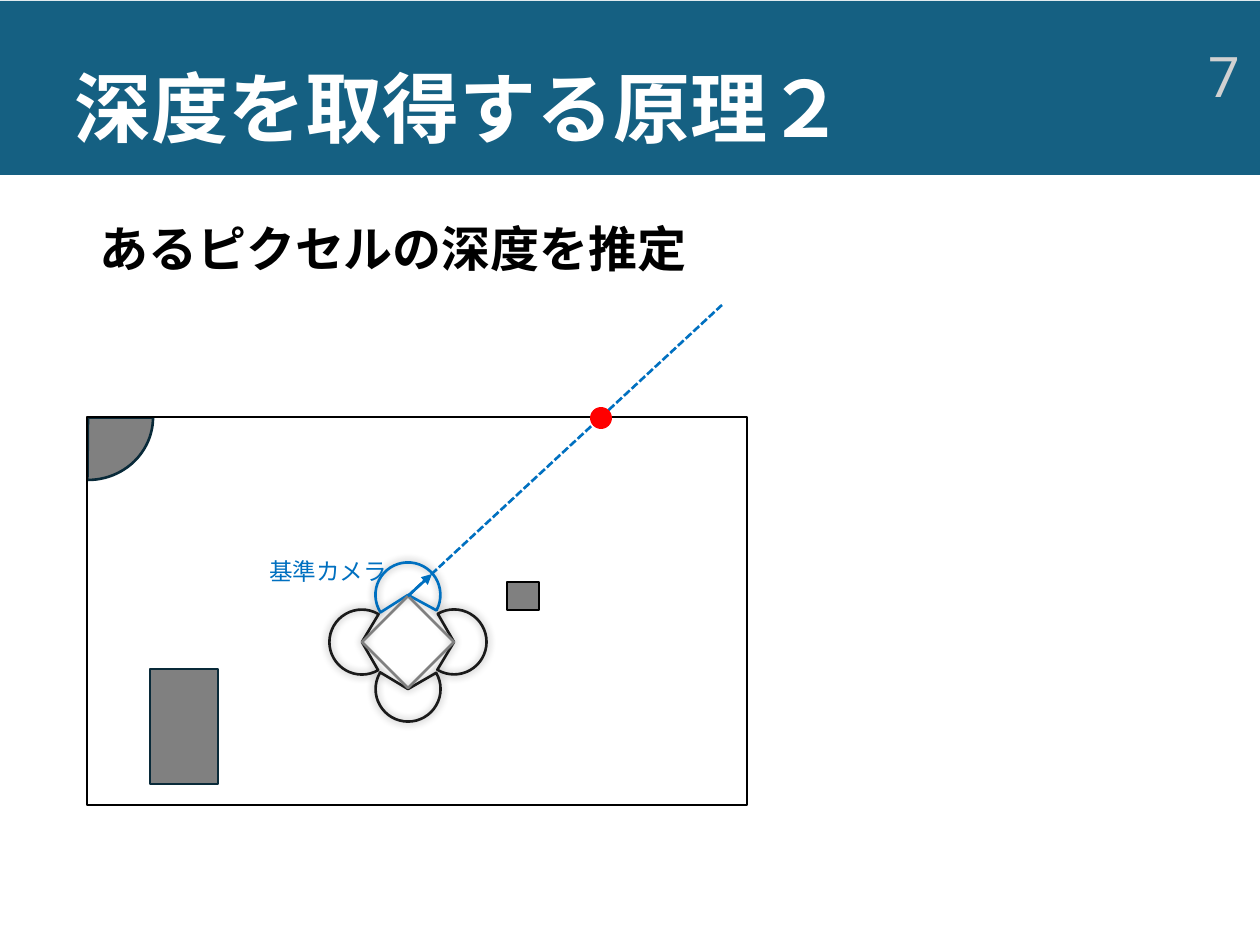
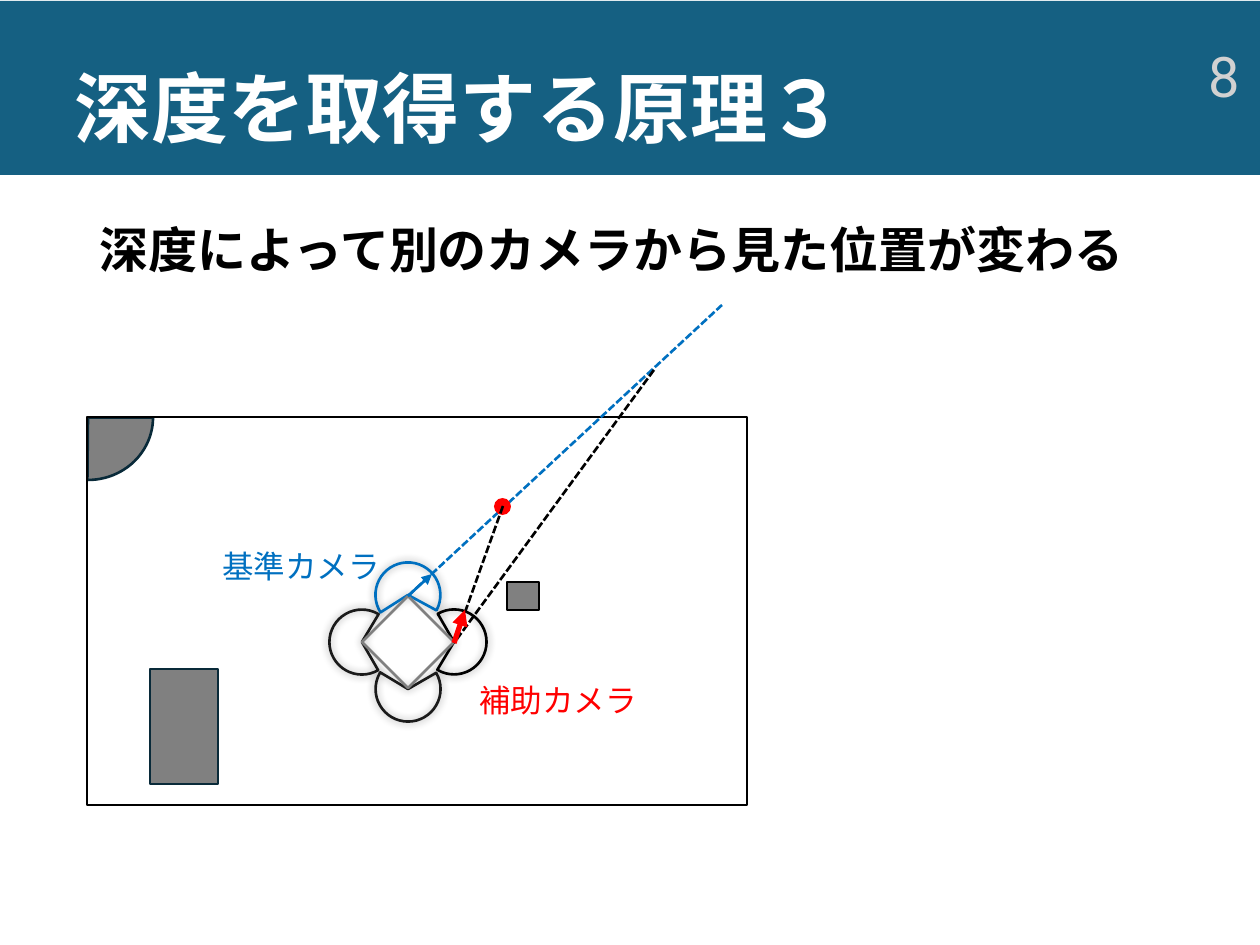
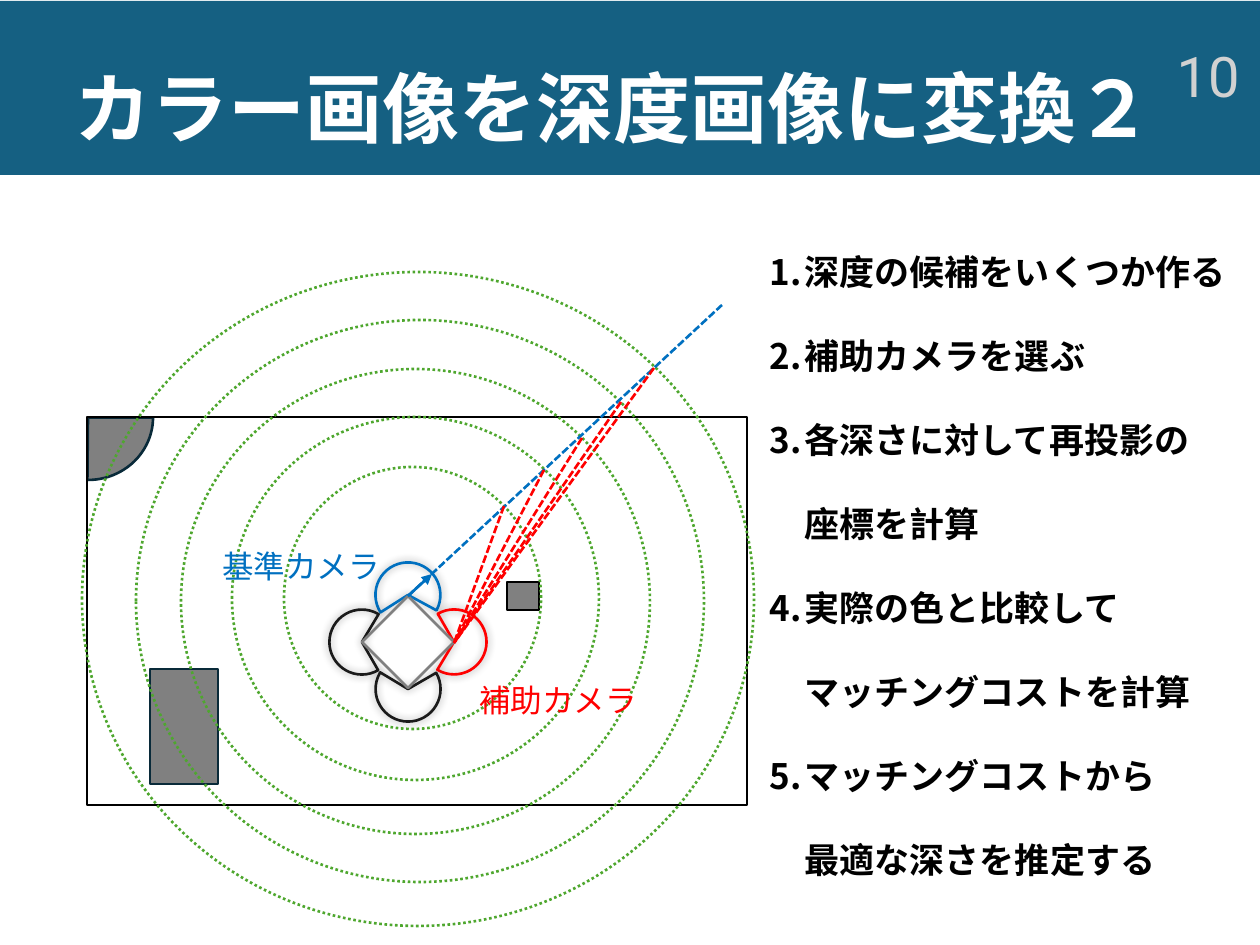
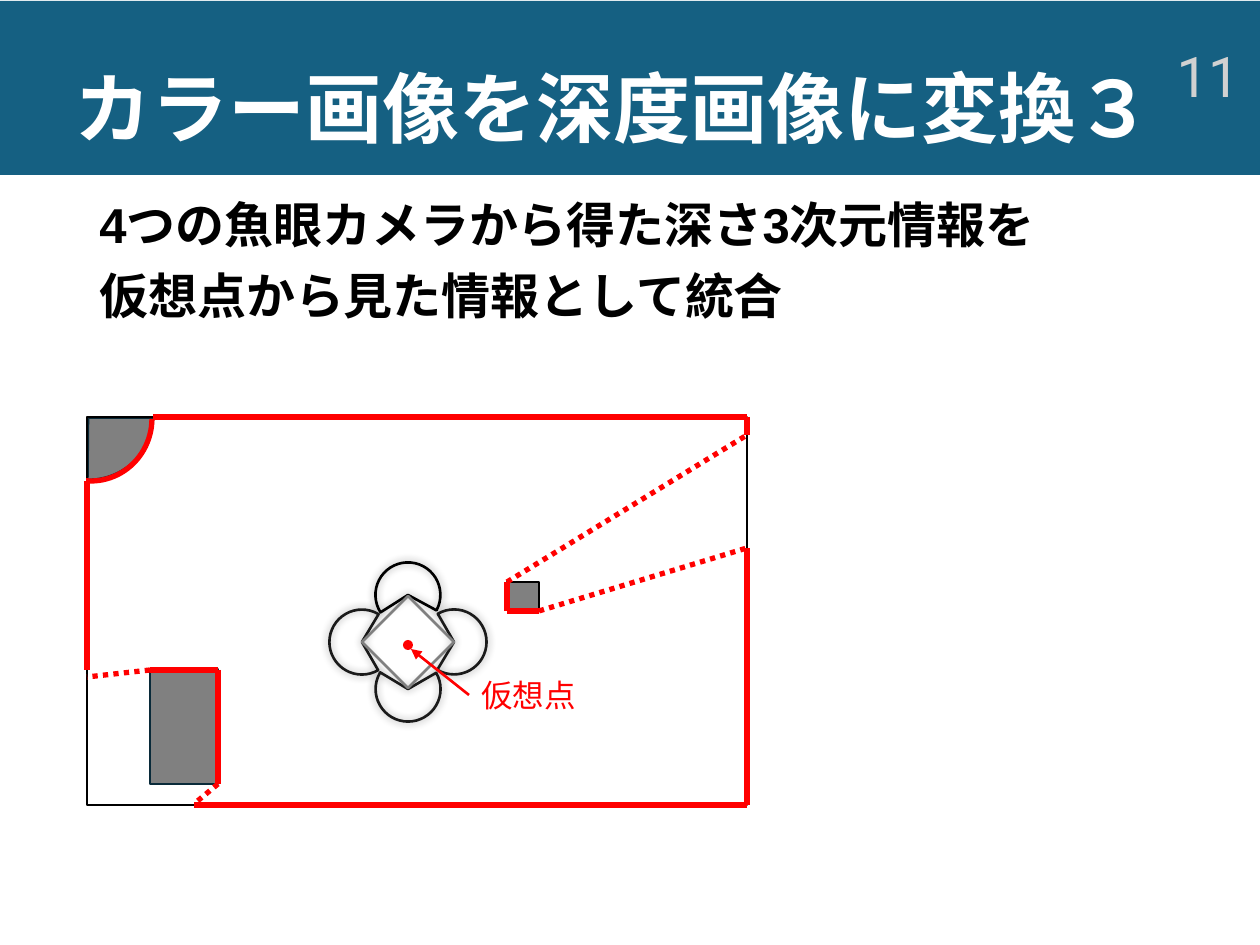
from pptx import Presentation
from pptx import util as u
from pptx.dml.color import RGBColor
from pptx.enum import dml, shapes, text
from pptx.oxml import parse_xml
from pptx.oxml.ns import nsdecls, qn

HEX = {"band": "156082", "white": "FFFFFF", "page": "D1D1D1", "black": "000000",
       "ink": "1A1A1A", "edge": "092A39", "gray": "808080", "blue": "0070C0",
       "red": "FF0000", "green": "4EA72E"}
KIND = shapes.MSO_SHAPE
DASH = {"dash": dml.MSO_LINE.SQUARE_DOT, "dot": dml.MSO_LINE.ROUND_DOT}

# Scene shared by all slides
ROOM = (87, 417, 660, 388)
PILLAR = (23, 355, 130, 125)
CABINET = (150, 669, 68, 115)
CRATE = (507, 582, 32, 28)
RIG = (408, 642)
LENS = 65
LENSES = [("top", 0, -47, 357.5), ("right", 46, 0, 90),
          ("left", -46, 0, 270), ("bottom", 0, 47, 180)]
RAY = ((408, 596), (722, 305))
AIM = ((408, 596), (432, 574))
AUX = (454, 643)

# Label: words, box, size, colour, wrap
MAIN = ("基準カメラ", (210, 541, 242, 50), 18, "blue", True)
HELP = ("補助カメラ", (467, 675, 184, 50), 18, "red", False)

SLIDES = [
    {"title": "深度を取得する原理２", "page": "7",
     "head": (["あるピクセルの深度を推定"], (87, 219, 1086, 123)),
     "lens": {"top": "blue"}, "ray": True,
     "labels": [("基準カメラ", (257, 551, 164, 42), 13.5, "blue", True)],
     "spot": (590, 407, 22, 22)},
    {"title": "深度を取得する原理３", "page": "8",
     "head": (["深度によって別のカメラから見た位置が変わる"], (87, 220, 1086, 149)),
     "lens": {"top": "blue", "right": "black"}, "ray": True,
     "labels": [MAIN, HELP], "spot": (494, 498, 17, 17),
     "probes": ("black", [(503, 506), (654, 370)]), "turn": (465, 610)},
    {"title": "カラー画像を深度画像に変換２", "page": "10",
     "lens": {"top": "blue", "right": "red"}, "ray": True,
     "labels": [MAIN, HELP],
     "rings": [(82, 272, 672, 654), (136, 320, 568, 562), (181, 369, 469, 465),
               (232, 417, 367, 363), (284, 467, 257, 262)],
     "probes": ("red", [(504, 506), (544, 470), (582, 438), (621, 402), (654, 368)]),
     "steps": ["深度の候補をいくつか作る", "補助カメラを選ぶ",
               "各深さに対して再投影の\n座標を計算",
               "実際の色と比較して\nマッチングコストを計算",
               "マッチングコストから\n最適な深さを推定する"]},
    {"title": "カラー画像を深度画像に変換３", "page": "11",
     "head": (["4つの魚眼カメラから得た深さ3次元情報を",
               "仮想点から見た情報として統合"], (87, 195, 1086, 700)),
     "lens": {"top": "black"},
     "labels": [("仮想点", (469, 670, 121, 50), 18, "red", False)],
     "spot": (403, 640, 10, 10), "point": (411, 649),
     "seen": [[(747, 435), (747, 417), (153, 417)],
              [(507, 582), (507, 611), (539, 611)],
              [(87, 481), (87, 670)],
              [(150, 670), (218, 670), (218, 784)],
              [(747, 548), (747, 805), (194, 805)]],
     "gaps": [[(507, 582), (747, 435)], [(539, 611), (747, 548)],
              [(150, 670), (87, 677)], [(218, 784), (194, 804)]],
     "curve": (30, 356, 122, 125)},
]


def px(*nums):
    return [u.Emu(round(n * 914400 / 126)) for n in nums]


def rgb(name):
    return RGBColor.from_string(HEX[name])


def stroke(line, hue, width, dash=None):
    line.color.rgb = rgb(hue)
    line.width = u.Pt(width)
    if dash:
        line.dash_style = DASH[dash]


def draw(host, kind, box, fill=None, line=None, width=1.5, dash=None, adj=(), turn=0):
    part = host.shapes.add_shape(kind, *px(*box))
    part.shadow.inherit = False
    part.rotation = turn
    for i, val in enumerate(adj):
        part.adjustments[i] = val
    if fill:
        part.fill.solid()
        part.fill.fore_color.rgb = rgb(fill)
    else:
        part.fill.background()
    if line:
        stroke(part.line, line, width, dash)
    else:
        part.line.fill.background()
    return part


def link(host, start, end, hue, width=1.5, dash=None, arrow=False):
    line = host.shapes.add_connector(shapes.MSO_CONNECTOR.STRAIGHT, *px(*start, *end))
    stroke(line.line, hue, width, dash)
    props = line.element.spPr
    props.append(parse_xml(f"<a:effectLst {nsdecls('a')}/>"))
    if arrow:
        props.find(qn("a:ln")).append(
            parse_xml(f'<a:tailEnd {nsdecls("a")} type="triangle"/>'))
    return line


def write(frame, paras, size, hue, font="Roboto", bold=False, space=None,
          before=0, align=None, number=False):
    for i, words in enumerate(paras):
        para = frame.add_paragraph() if i else frame.paragraphs[0]
        if number:
            props = para._p.get_or_add_pPr()
            props.set("marL", str(u.Inches(0.28)))
            props.set("indent", str(u.Inches(-0.37)))
            props.append(parse_xml(
                f'<a:buAutoNum {nsdecls("a")} type="arabicPeriod"/>'))
        if space:
            para.line_spacing = space
        if i and before:
            para.space_before = u.Pt(before)
        if align:
            para.alignment = align
        for j, part in enumerate(words.split("\n")):
            if j:
                para.add_line_break()
            run = para.add_run()
            run.text = part
            run.font.size = u.Pt(size)
            run.font.name = font
            run.font.bold = bold
            run.font.color.rgb = rgb(hue)


def note(slide, box, paras, size, hue, wrap=True, grow=False, **style):
    area = slide.shapes.add_textbox(*px(*box))
    frame = area.text_frame
    frame.word_wrap = wrap
    if grow:
        frame.auto_size = text.MSO_AUTO_SIZE.SHAPE_TO_FIT_TEXT
    write(frame, paras, size, hue, **style)
    return area


def add_rig(slide, hues):
    """Four fisheye lenses around a diamond body."""
    group = slide.shapes.add_group_shape()
    x, y = RIG
    for name, dx, dy, turn in LENSES:
        box = (x + dx - LENS / 2, y + dy - LENS / 2, LENS, LENS)
        lens = draw(group, KIND.PIE, box, line=hues.get(name, "ink"),
                    adj=(89.982, 18.576), turn=turn)
        lens.element.spPr.find(qn("a:effectLst")).append(parse_xml(
            f'<a:outerShdw {nsdecls("a")} blurRad="{u.Pt(5)}" dist="0" dir="0">'
            f'<a:srgbClr val="{HEX["black"]}"><a:alpha val="40000"/></a:srgbClr>'
            '</a:outerShdw>'))
    draw(group, KIND.DIAMOND, (x - 46, y - 46, 92, 92), line="gray")


def add_scene(slide, hues):
    draw(slide, KIND.PIE, PILLAR, "gray", "edge", adj=(0, 54.331))
    draw(slide, KIND.RECTANGLE, CABINET, "gray", "edge")
    add_rig(slide, hues)
    draw(slide, KIND.RECTANGLE, ROOM, line="black")
    draw(slide, KIND.RECTANGLE, CRATE, "gray", "black")


def add_view(slide, data):
    """Red outline of what the virtual point sees; dots bridge hidden parts."""
    group = slide.shapes.add_group_shape()
    for key, dash in (("seen", None), ("gaps", "dot")):
        for path in data[key]:
            for start, end in zip(path, path[1:]):
                link(group, start, end, "red", 3, dash)
    draw(group, KIND.ARC, data["curve"], line="red", width=3, adj=(0.226, 56.702))


def add_top(slide, data):
    title = slide.shapes.title
    title.left, title.top, title.width, title.height = px(62, 50, 1111, 125)
    frame = title.text_frame
    frame.word_wrap = True
    frame.auto_size = text.MSO_AUTO_SIZE.NONE
    frame.vertical_anchor = text.MSO_ANCHOR.MIDDLE
    write(frame, [data["title"]], 44, "white", "Arial", True, 0.9,
          align=text.PP_ALIGN.LEFT)
    page = note(slide, (969, 50, 283, 50), [data["page"]], 32, "page",
                align=text.PP_ALIGN.RIGHT)
    page.text_frame.vertical_anchor = text.MSO_ANCHOR.MIDDLE


def build(slide, data):
    add_top(slide, data)
    add_scene(slide, data["lens"])
    for ring in data.get("rings", []):
        draw(slide, KIND.FLOWCHART_CONNECTOR, ring, line="green", dash="dot")
    if "ray" in data:
        link(slide, *RAY, "blue", dash="dash")
        link(slide, *AIM, "blue", arrow=True)
    if "seen" in data:
        add_view(slide, data)
    if "spot" in data:
        draw(slide, KIND.OVAL, data["spot"], "red")
    hue, ends = data.get("probes", ("red", []))
    for end in ends:
        link(slide, end, AUX, hue, dash="dash")
    if "turn" in data:
        link(slide, AUX, data["turn"], "red", 3, arrow=True)
    for words, box, size, hue, wrap in data["labels"]:
        label = note(slide, box, [words], size, hue, wrap, True)
    if "point" in data:
        line = link(slide, (469, 695), data["point"], "red", arrow=True)
        line.begin_connect(label, 1)
    if "head" in data:
        paras, box = data["head"]
        note(slide, box, paras, 28, "black", font="Arial", bold=True,
             space=0.9, before=10)
    if "steps" in data:
        note(slide, (757, 202, 498, 680), data["steps"], 20, "black", False, True,
             bold=True, space=2.0, number=True)


def main():
    deck = Presentation()
    deck.slide_width, deck.slide_height = px(1260, 945)
    layout = deck.slide_layouts[5]
    for i, data in enumerate(SLIDES):
        slide = deck.slides.add_slide(layout)
        if i == 0:
            band = draw(slide, KIND.RECTANGLE, (0, 1, 1260, 174), "band")
            layout.shapes.element.insert(2, band.element)
        build(slide, data)
    deck.save("out.pptx")


if __name__ == "__main__":
    main()
